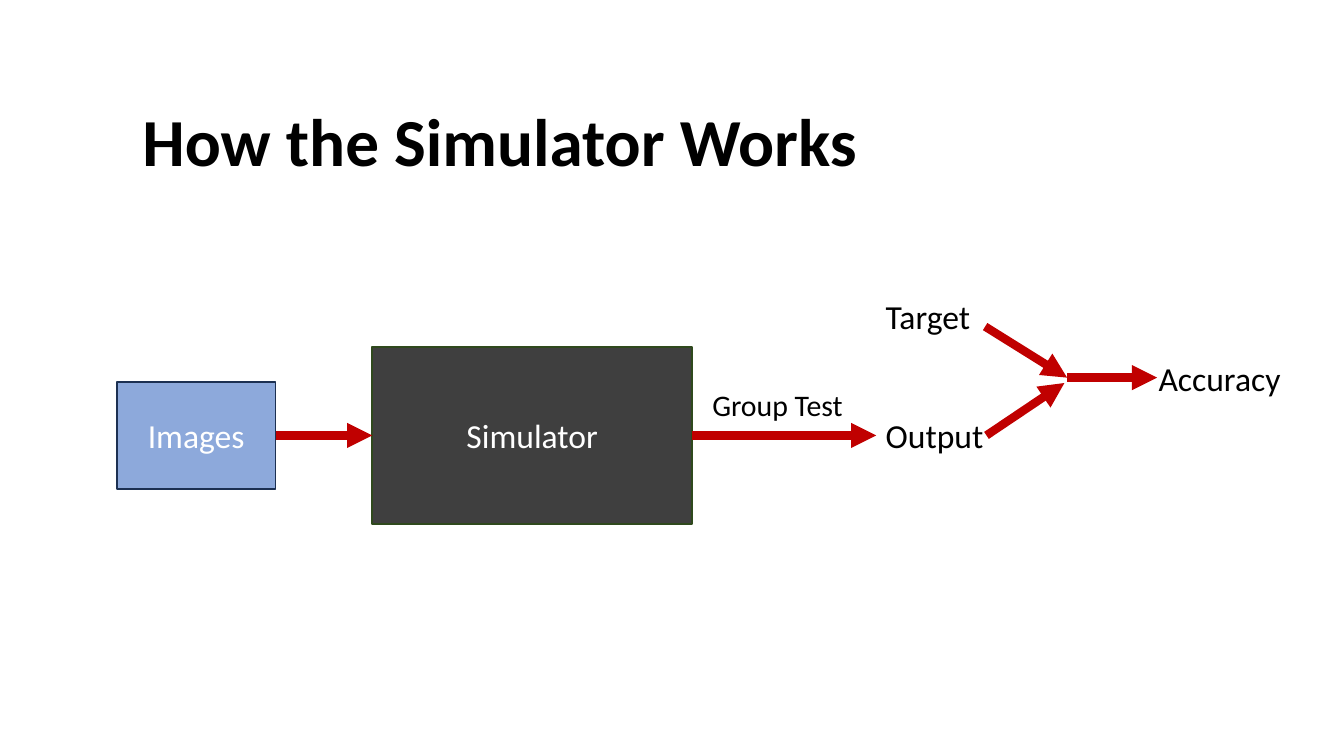
from dataclasses import dataclass

import pptx
import pptx.dml.color
import pptx.enum.shapes
import pptx.enum.text
import pptx.oxml.ns
import pptx.util
from lxml import etree
from pptx.util import Inches


@dataclass(frozen=True)
class Theme:
    font: str = "Calibri"
    title_size: int = 36
    body_size: int = 18
    small_size: int = 16
    text: str = "000000"
    light_text: str = "FFFFFF"
    arrow: str = "C00000"
    simulator_fill: str = "3F3F3F"
    simulator_line: str = "2F491D"
    images_fill: str = "8DA9DB"
    images_line: str = "1C3052"


THEME = Theme()
LEFT_SIDE, RIGHT_SIDE = 1, 3
PIPELINE_AXIS = 3.24


def rgb(value):
    return pptx.dml.color.RGBColor.from_string(value)


def add_run(paragraph, text, size, color, bold=False):
    run = paragraph.add_run()
    run.text = text
    run.font.name = THEME.font
    run.font.size = pptx.util.Pt(size)
    run.font.bold = bold
    run.font.color.rgb = rgb(color)


def set_insets(frame):
    frame.word_wrap = True
    frame.margin_left = frame.margin_right = Inches(0.07)
    frame.margin_top = frame.margin_bottom = Inches(0.04)


def set_title(slide, text):
    title = slide.shapes.title
    title.left, title.top = Inches(0.96), Inches(0.31)
    title.width, title.height = Inches(8.02), Inches(1.09)
    frame = title.text_frame
    frame.auto_size = pptx.enum.text.MSO_AUTO_SIZE.NONE
    frame.vertical_anchor = pptx.enum.text.MSO_ANCHOR.BOTTOM
    paragraph = frame.paragraphs[0]
    paragraph.alignment = pptx.enum.text.PP_ALIGN.LEFT
    paragraph.line_spacing = 0.9
    add_run(paragraph, text, THEME.title_size, THEME.text, bold=True)


def add_box(slide, text, left, width, height, fill, line):
    """Add a filled box centred on the pipeline axis."""
    shape = slide.shapes.add_shape(
        pptx.enum.shapes.MSO_SHAPE.RECTANGLE,
        Inches(left), Inches(PIPELINE_AXIS - height / 2),
        Inches(width), Inches(height))
    shape.shadow.inherit = False
    shape.fill.solid()
    shape.fill.fore_color.rgb = rgb(fill)
    shape.line.color.rgb = rgb(line)
    shape.line.width = pptx.util.Pt(1)
    frame = shape.text_frame
    set_insets(frame)
    frame.vertical_anchor = pptx.enum.text.MSO_ANCHOR.MIDDLE
    paragraph = frame.paragraphs[0]
    paragraph.alignment = pptx.enum.text.PP_ALIGN.CENTER
    add_run(paragraph, text, THEME.body_size, THEME.light_text)
    return shape


def add_label(slide, text, left, top, width=1.11, height=0.38, size=THEME.body_size):
    label = slide.shapes.add_textbox(
        Inches(left), Inches(top), Inches(width), Inches(height))
    frame = label.text_frame
    set_insets(frame)
    frame.auto_size = pptx.enum.text.MSO_AUTO_SIZE.SHAPE_TO_FIT_TEXT
    add_run(frame.paragraphs[0], text, size, THEME.text)
    return label


def add_arrow(slide, start=(0, 0), end=(0, 0)):
    arrow = slide.shapes.add_connector(
        pptx.enum.shapes.MSO_CONNECTOR.STRAIGHT,
        *(Inches(value) for value in (*start, *end)))
    arrow.line.color.rgb = rgb(THEME.arrow)
    arrow.line.width = pptx.util.Pt(4.5)
    qn = pptx.oxml.ns.qn
    line = arrow._element.spPr.find(qn("a:ln"))
    etree.SubElement(line, qn("a:tailEnd"), type="triangle")
    etree.SubElement(arrow._element.spPr, qn("a:effectLst"))
    return arrow


def join(slide, source, target):
    arrow = add_arrow(slide)
    arrow.begin_connect(source, RIGHT_SIDE)
    arrow.end_connect(target, LEFT_SIDE)


def main():
    presentation = pptx.Presentation()
    presentation.slide_width = Inches(10)
    presentation.slide_height = presentation.slide_width * 9 // 16
    title_only = presentation.slide_layouts.get_by_name("Title Only")
    slide = presentation.slides.add_slide(title_only)
    set_title(slide, "How the Simulator Works")

    # Pipeline from images to output
    images = add_box(slide, "Images", 0.87, 1.18, 0.8,
                     THEME.images_fill, THEME.images_line)
    simulator = add_box(slide, "Simulator", 2.77, 2.38, 1.32,
                        THEME.simulator_fill, THEME.simulator_line)
    output = add_label(slide, "Output", 6.52, 3.05)
    join(slide, images, simulator)
    join(slide, simulator, output)
    add_label(slide, "Group Test", 5.23, 2.84, 1.22, 0.34, THEME.small_size)

    # Target and output meet to give the accuracy
    add_label(slide, "Target", 6.52, 2.16)
    add_label(slide, "Accuracy", 8.55, 2.62)
    meeting_point = (7.94, 2.81)
    add_arrow(slide, (7.33, 2.43), meeting_point)
    add_arrow(slide, (7.34, PIPELINE_AXIS), (7.92, 2.85))
    add_arrow(slide, meeting_point, (8.61, 2.81))

    presentation.save("out.pptx")


if __name__ == "__main__":
    main()
